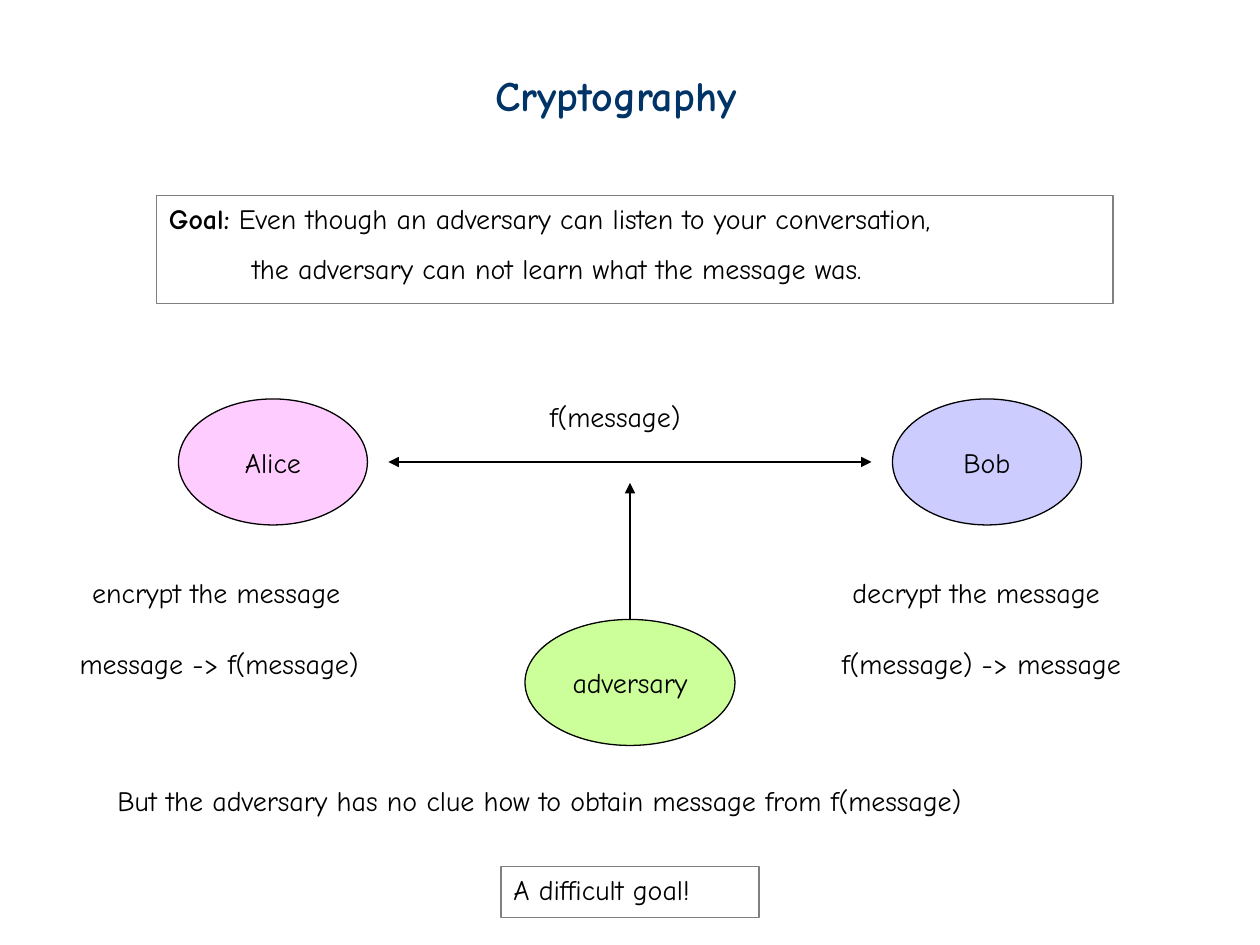
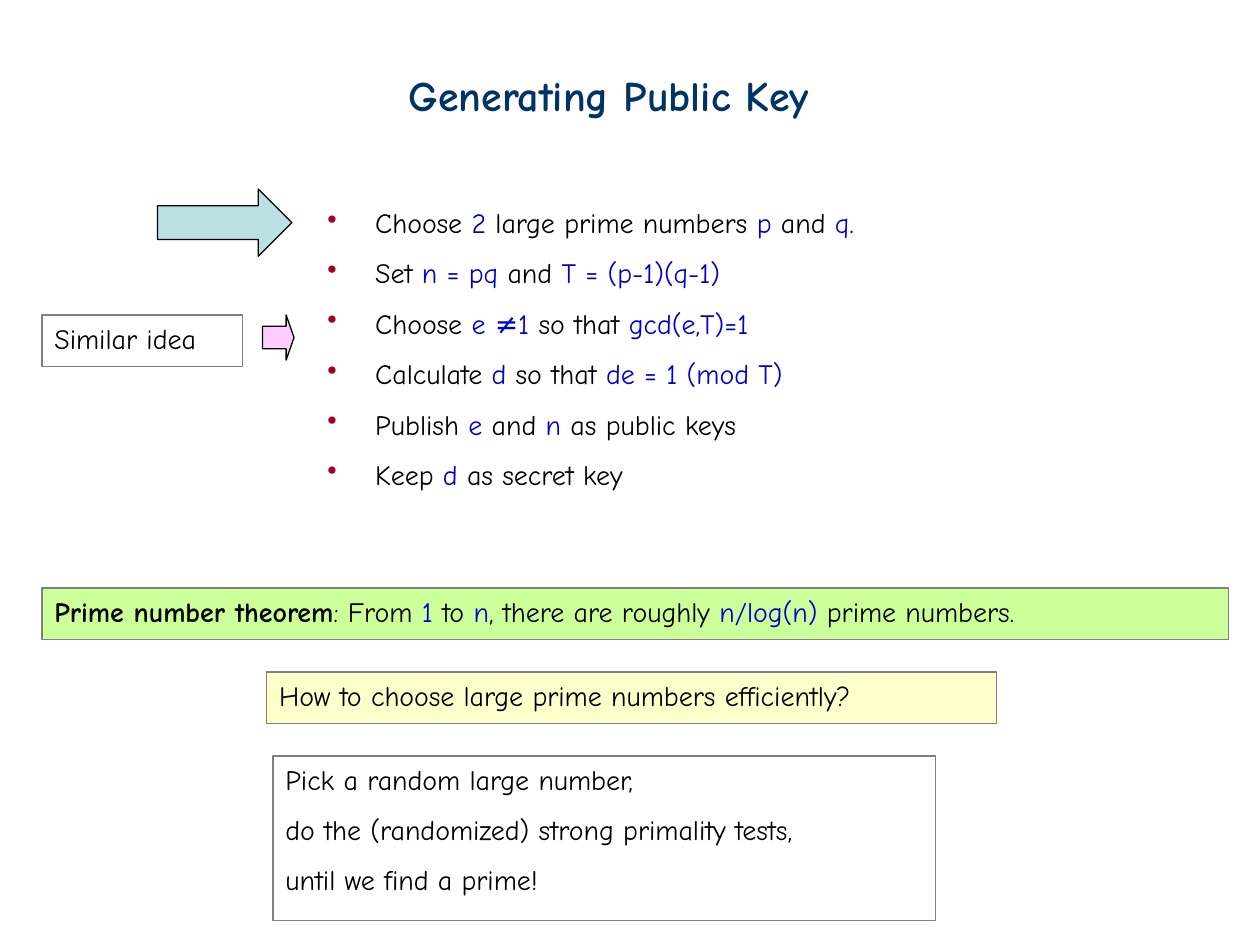
from pptx import Presentation
from pptx.dml.color import RGBColor
from pptx.enum.shapes import MSO_CONNECTOR, MSO_SHAPE
from pptx.enum.text import MSO_ANCHOR, MSO_AUTO_SIZE, PP_ALIGN
from pptx.oxml.ns import qn
from pptx.util import Inches, Pt
from lxml import etree

RECTANGLE = MSO_SHAPE.RECTANGLE
OVAL = MSO_SHAPE.OVAL
RIGHT_ARROW = MSO_SHAPE.RIGHT_ARROW
STRAIGHT = MSO_CONNECTOR.STRAIGHT
TOP, MIDDLE = MSO_ANCHOR.TOP, MSO_ANCHOR.MIDDLE
LEFT, CENTER = PP_ALIGN.LEFT, PP_ALIGN.CENTER
NO_AUTOFIT = MSO_AUTO_SIZE.NONE

WIDTH, HEIGHT = Inches(10), Inches(7.5)
COLUMNS, ROWS = 120, 90
FONT = "Comic Neue"
TITLE_SIZE, BODY_SIZE = 24, 16
LINE_WIDTH = Pt(0.75)
LINE_ROWS = 4.9
BLACK, GREY, NAVY, BLUE, RED = "000000", "808080", "003366", "0000CC", "A50021"
PINK, LILAC, GREEN, YELLOW, TEAL = "FFCCFF", "CCCCFF", "CCFF99", "FFFFCC", "BBE0E3"


def rgb(colour):
    """Turn a hex string into a colour."""
    return RGBColor.from_string(colour)


def grid(column, row):
    """Turn a grid position or extent into slide lengths."""
    return int(WIDTH * column / COLUMNS), int(HEIGHT * row / ROWS)


def area(column, row, columns, rows):
    """Return left, top, width and height of a grid area."""
    return grid(column, row) + grid(columns, rows)


def style_span(span, colour=BLACK, size=BODY_SIZE, bold=False):
    """Set the font of one run."""
    span.font.name = FONT
    span.font.size = Pt(size)
    span.font.bold = bold
    span.font.color.rgb = rgb(colour)


def add_spans(para, text, lead=""):
    """Write a bold lead, then text whose parts between bars are blue."""
    pieces = [(lead, BLACK, True)]
    for index, piece in enumerate(text.split("|")):
        pieces.append((piece, BLUE if index % 2 else BLACK, False))
    for piece, colour, bold in pieces:
        if piece:
            span = para.add_run()
            span.text = piece
            style_span(span, colour, bold=bold)


def write_lines(frame, lines, lead="", align=LEFT, anchor=TOP):
    """Fill a text frame with one paragraph a line."""
    frame.word_wrap = align == LEFT
    frame.vertical_anchor = anchor
    for index, line in enumerate(lines):
        para = frame.add_paragraph() if index else frame.paragraphs[0]
        para.alignment = align
        if index:
            para.line_spacing = 1.5
        add_spans(para, line, "" if index else lead)


def indent(para, margin, first=0.0):
    """Set the left margin and first-line indent in inches."""
    properties = para._p.get_or_add_pPr()
    properties.set("marL", str(Inches(margin)))
    properties.set("indent", str(Inches(first)))
    return properties


def add_bullet(para):
    """Give a paragraph a red bullet with a hanging indent."""
    properties = indent(para, 0.38, -0.38)
    bullet_colour = etree.SubElement(properties, qn("a:buClr"))
    etree.SubElement(bullet_colour, qn("a:srgbClr")).set("val", RED)
    etree.SubElement(properties, qn("a:buChar")).set("char", "•")


def add_page(deck, title, column, columns):
    """Add a title-only slide with its title in place."""
    page = deck.slides.add_slide(deck.slide_layouts[5])
    holder = page.shapes.title
    holder.left, holder.top, holder.width, holder.height = area(column, 6, columns, 6)
    frame = holder.text_frame
    frame.text = title
    frame.word_wrap = False
    frame.auto_size = NO_AUTOFIT
    frame.vertical_anchor = TOP
    para = frame.paragraphs[0]
    para.alignment = LEFT
    style_span(para.runs[0], NAVY, TITLE_SIZE, True)
    return page


def add_outline(page, kind, place, fill=None, line=BLACK):
    """Add a preset shape with a thin outline."""
    shape = page.shapes.add_shape(kind, *area(*place))
    shape.shadow.inherit = False
    if fill:
        shape.fill.solid()
        shape.fill.fore_color.rgb = rgb(fill)
    else:
        shape.fill.background()
    shape.line.color.rgb = rgb(line)
    shape.line.width = LINE_WIDTH
    return shape


def add_person(page, name, place, fill):
    """Add a named ellipse."""
    shape = add_outline(page, OVAL, place, fill)
    write_lines(shape.text_frame, [name], align=CENTER, anchor=MIDDLE)


def add_panel(page, lines, place, fill=None, lead=""):
    """Add a grey-framed box of text."""
    box = add_outline(page, RECTANGLE, place, fill, GREY)
    write_lines(box.text_frame, lines, lead)
    return box


def add_label(page, lines, place):
    """Add a plain text box."""
    box = page.shapes.add_textbox(*area(*place))
    write_lines(box.text_frame, lines)
    return box


def add_block_arrow(page, place, fill, head):
    """Add a block arrow with the given head length."""
    arrow = add_outline(page, RIGHT_ARROW, place, fill)
    arrow.adjustments[0] = 0.5
    arrow.adjustments[1] = head


def add_arrow(page, start, end, ends=("tailEnd",)):
    """Add a straight line with triangular arrowheads."""
    arrow = page.shapes.add_connector(STRAIGHT, *grid(*start), *grid(*end))
    arrow.line.color.rgb = rgb(BLACK)
    arrow.line.width = LINE_WIDTH
    properties = arrow.element.spPr
    outline = properties.find(qn("a:ln"))
    for name in ends:
        etree.SubElement(outline, qn(f"a:{name}")).set("type", "triangle")
    etree.SubElement(properties, qn("a:effectLst"))


def build_cryptography(deck):
    """Show Alice and Bob talking while an adversary listens."""
    page = add_page(deck, "Cryptography", 46, 28)
    add_person(page, "Alice", (17, 38, 18, 12), PINK)
    add_person(page, "Bob", (85, 38, 18, 12), LILAC)
    add_arrow(page, (37, 44), (83, 44), ("headEnd", "tailEnd"))
    add_person(page, "adversary", (50, 59, 20, 12), GREEN)
    add_arrow(page, (60, 59), (60, 46))
    goal = add_panel(page, [
        " Even though an adversary can listen to your conversation,",
        "the adversary can not learn what the message was.",
    ], (14.9, 18.6, 91.1, 10.3), lead="Goal:")
    indent(goal.text_frame.paragraphs[1], 0.66)
    labels = [
        ("f(message)", 51.2, 37.5, 17.8),
        ("encrypt the message", 7.6, 54.2, 31.4),
        ("message -> f(message)", 6.4, 61, 33.7),
        ("decrypt the message", 80, 54.2, 31.7),
        ("f(message) -> message", 79, 61, 33.7),
        ("But the adversary has no clue how to obtain message from f(message)",
         10, 74, 100.2),
    ]
    for text, column, row, columns in labels:
        add_label(page, [text], (column, row, columns, LINE_ROWS))
    add_panel(page, ["A difficult goal!"], (47.7, 82.5, 24.6, LINE_ROWS))


def build_public_key(deck):
    """Show the steps of key generation and the search for primes."""
    page = add_page(deck, "Generating Public Key", 37.7, 44.3)
    steps = add_label(page, [
        "Choose |2| large prime numbers |p| and |q|.",
        "Set |n = pq| and |T = (p-1)(q-1)",
        "Choose |e ≠1| so that |gcd(e,T)=1",
        "Calculate |d| so that |de = 1 (mod T)",
        "Publish |e| and |n| as public keys",
        "Keep |d| as secret key",
    ], (30, 19, 60.2, 31.9))
    for para in steps.text_frame.paragraphs:
        add_bullet(para)
    add_block_arrow(page, (15, 18, 12.8, 6.4), TEAL, 0.5)
    add_panel(page, ["How to choose large prime numbers efficiently?"],
              (25.4, 64, 69.5, LINE_ROWS), YELLOW)
    add_panel(page, [": From |1| to |n|, there are roughly |n/log(n)| prime numbers."],
              (4, 56, 113, LINE_ROWS), GREEN, "Prime number theorem")
    add_panel(page, [
        "Pick a random large number,",
        "do the (randomized) strong primality tests,",
        "until we find a prime!",
    ], (26, 72, 63.1, 15.7))
    add_block_arrow(page, (25, 30, 3, 4.3), PINK, 0.25)
    add_panel(page, ["Similar idea"], (4, 30, 19.1, LINE_ROWS))


def main():
    """Build and save the deck."""
    deck = Presentation()
    deck.slide_width, deck.slide_height = WIDTH, HEIGHT
    build_cryptography(deck)
    build_public_key(deck)
    deck.save("out.pptx")


if __name__ == "__main__":
    main()
